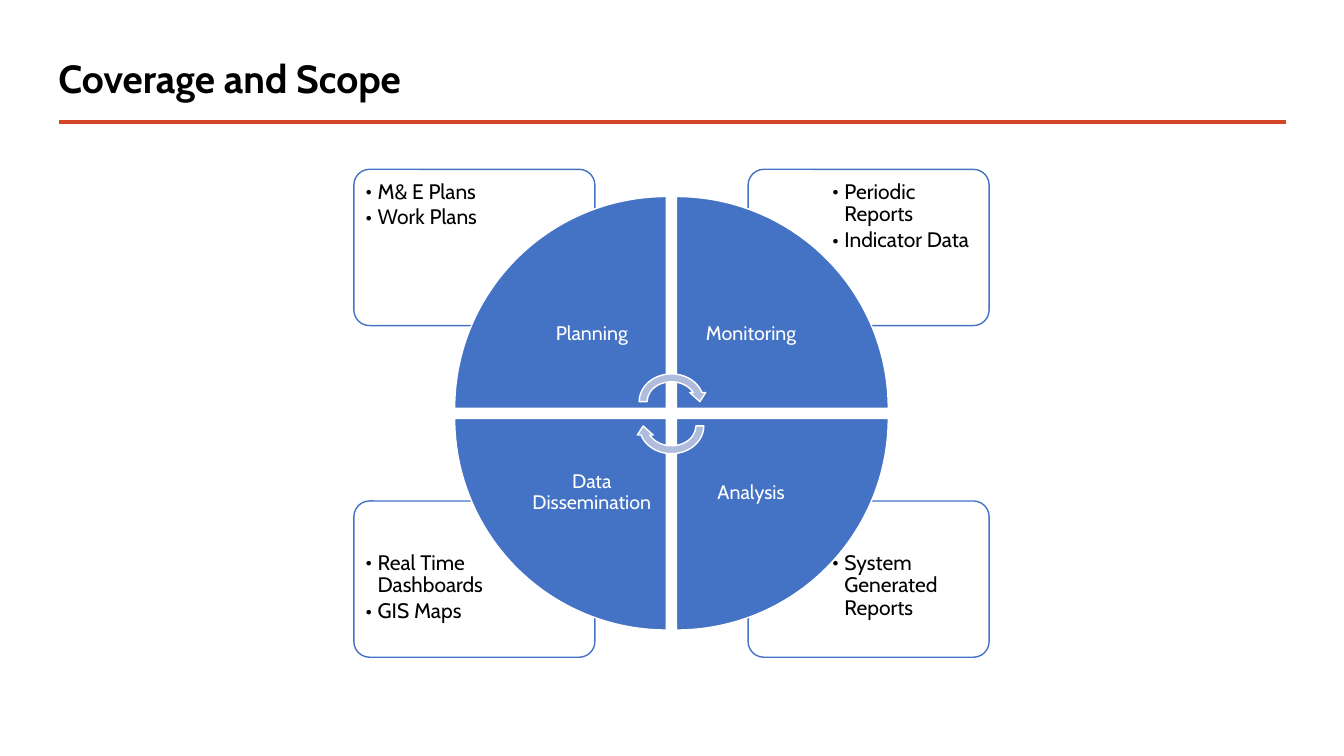
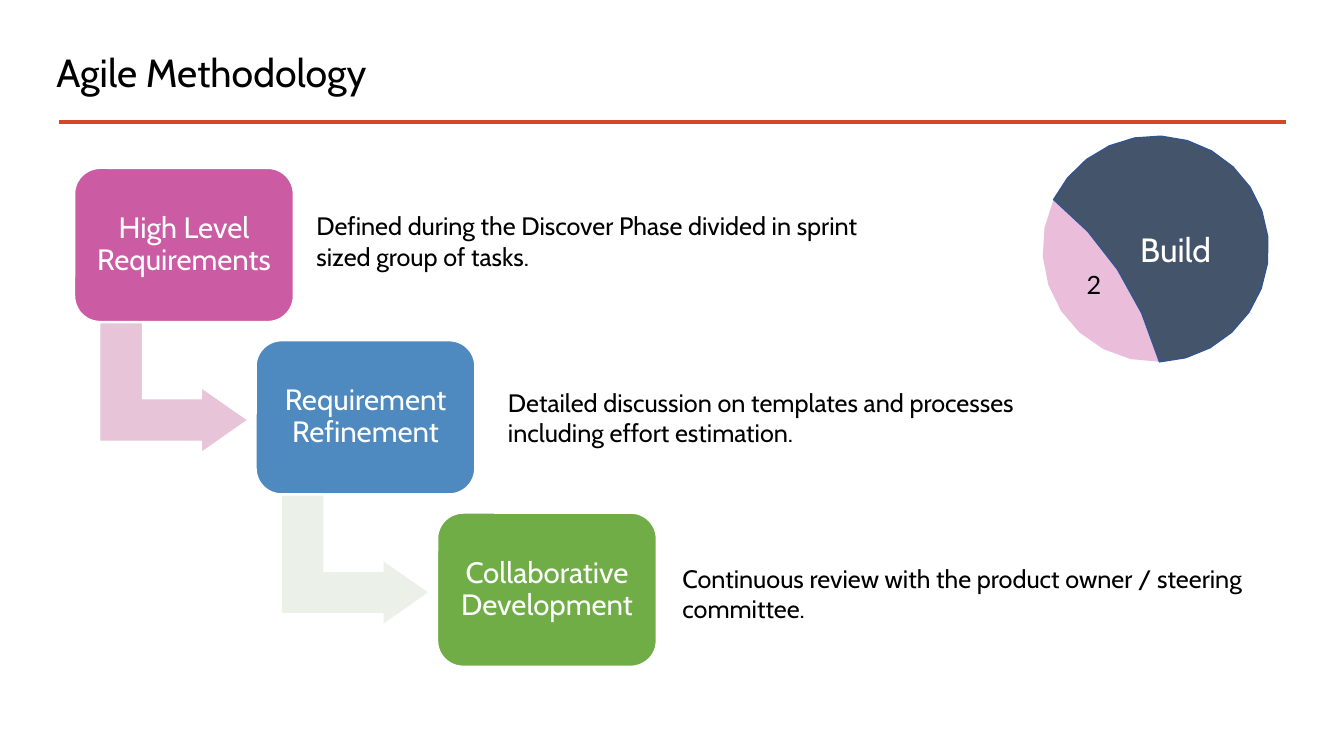
import dataclasses
import math

import lxml.etree
import pptx
import pptx.dml.color
import pptx.enum.shapes
import pptx.enum.text
import pptx.oxml.ns
import pptx.util

Inches = pptx.util.Inches
Pt = pptx.util.Pt
SHAPE = pptx.enum.shapes.MSO_SHAPE
ALIGN = pptx.enum.text.PP_ALIGN
ANCHOR = pptx.enum.text.MSO_ANCHOR


@dataclasses.dataclass(frozen=True)
class Theme:
    font: str = "Cabin"
    number_font: str = "Lato"
    black: str = "000000"
    white: str = "FFFFFF"
    rule: str = "D24726"
    blue: str = "4472C4"
    pale_blue: str = "B0BCDE"
    navy: str = "44546A"
    navy_edge: str = "325491"
    pink: str = "EABDDA"
    title_size: float = 28
    phase_size: float = 24
    step_size: float = 21
    note_size: float = 18
    card_size: float = 15
    wedge_size: float = 14


THEME = Theme()


def rgb(code):
    return pptx.dml.color.RGBColor.from_string(code)


def paint(shape, fill, edge=None):
    shape.shadow.inherit = False
    shape.fill.solid()
    shape.fill.fore_color.rgb = rgb(fill)
    if edge:
        shape.line.color.rgb = rgb(edge)
        shape.line.width = Pt(1)
    else:
        shape.line.fill.background()


def add_bullet(para):
    properties = para._p.get_or_add_pPr()
    properties.set("marL", str(Inches(0.12)))
    properties.set("indent", str(-Inches(0.12)))
    for tag, name, value in [("a:buFont", "typeface", THEME.font), ("a:buChar", "char", "•")]:
        lxml.etree.SubElement(properties, pptx.oxml.ns.qn(tag)).set(name, value)


def write(frame, lines, size, color=THEME.black, font=THEME.font, bold=False,
          align=ALIGN.LEFT, anchor=ANCHOR.TOP, spacing=0.9, after=0, bullets=False):
    frame.word_wrap = True
    frame.auto_size = pptx.enum.text.MSO_AUTO_SIZE.NONE
    frame.vertical_anchor = anchor
    for index, line in enumerate(lines):
        para = frame.add_paragraph() if index else frame.paragraphs[0]
        para.text = line
        para.alignment = align
        para.line_spacing = spacing
        para.space_after = Pt(after)
        if bullets:
            add_bullet(para)
        para.font.name = font
        para.font.size = Pt(size)
        para.font.bold = bold
        para.font.color.rgb = rgb(color)


def set_margins(frame, left, top, right, bottom):
    frame.margin_left, frame.margin_top = Inches(left), Inches(top)
    frame.margin_right, frame.margin_bottom = Inches(right), Inches(bottom)


def add_block(page, kind, box, fill, edge=THEME.white, rotation=0, adjustments=()):
    shape = page.shapes.add_shape(kind, *map(Inches, box))
    paint(shape, fill, edge)
    shape.rotation = rotation
    for index, value in enumerate(adjustments):
        shape.adjustments[index] = value
    return shape


def add_text(page, box, text, size, **style):
    label = page.shapes.add_textbox(*map(Inches, box))
    write(label.text_frame, [text], size, **style)
    return label


def add_titled_page(deck, title, box, bold):
    page = deck.slides.add_slide(deck.slide_layouts[5])
    rule = page.shapes.add_connector(
        pptx.enum.shapes.MSO_CONNECTOR.STRAIGHT,
        Inches(0.59), Inches(1.21), Inches(12.75), Inches(1.21))
    rule.line.color.rgb = rgb(THEME.rule)
    rule.line.width = Pt(2.25)
    lxml.etree.SubElement(rule.element.spPr, pptx.oxml.ns.qn("a:effectLst"))
    holder = page.shapes.title
    holder.left, holder.top, holder.width, holder.height = map(Inches, box)
    write(holder.text_frame, [title], THEME.title_size, bold=bold, anchor=ANCHOR.MIDDLE)
    return page


def beside(centre, side, gap, length):
    """Near edge of a span set before (-1) or after (1) the centre."""
    return centre + gap if side > 0 else centre - gap - length


def quadrant_box(side, level, gap_x, gap_y, width, height):
    centre_x, centre_y = 6.66, 4.1
    return (beside(centre_x, side, gap_x, width),
            beside(centre_y, level, gap_y, height), width, height)


def add_card(page, side, level, lines):
    card = add_block(page, SHAPE.ROUNDED_RECTANGLE,
                     quadrant_box(side, level, 0.76, 0.87, 2.39, 1.55),
                     THEME.white, THEME.blue, adjustments=[0.1])
    edge, wedge_side = 0.07, 0.79
    left, right = (wedge_side, edge) if side > 0 else (edge, wedge_side)
    set_margins(card.text_frame, left, 0.46 if level > 0 else edge, right, edge)
    write(card.text_frame, lines, THEME.card_size, after=2.25, bullets=True)


def add_wedge(page, side, level, rotation, name):
    add_block(page, SHAPE.PIE_WEDGE, quadrant_box(side, level, 0.05, 0.05, 2.1, 2.1),
              THEME.blue, rotation=rotation)
    label = add_text(page, quadrant_box(side, level, 0.05, 0.05, 1.48, 1.48), name,
                     THEME.wedge_size, color=THEME.white, align=ALIGN.CENTER,
                     anchor=ANCHOR.MIDDLE)
    set_margins(label.text_frame, 0.11, 0.11, 0.11, 0.11)


def build_coverage(deck):
    page = add_titled_page(deck, "Coverage and Scope", (0.48, 0.45, 10, 0.7), bold=True)
    quadrants = [
        (-1, -1, "Planning", ["M& E Plans", "Work Plans"]),
        (1, -1, "Monitoring", ["Periodic Reports", "Indicator Data"]),
        (1, 1, "Analysis", ["System Generated Reports"]),
        (-1, 1, "Data Dissemination", ["Real Time Dashboards", "GIS Maps"]),
    ]
    for side, level, _, lines in quadrants:
        add_card(page, side, level, lines)
    for index, (side, level, name, _) in enumerate(quadrants):
        add_wedge(page, side, level, 90 * index, name)
    for top, rotation in [(3.67, 0), (3.91, 180)]:
        add_block(page, SHAPE.CIRCULAR_ARROW, (6.3, top, 0.72, 0.63),
                  THEME.pale_blue, rotation=rotation)


def arc_points(centre, radius, start, end, count):
    angles = [math.radians(start + (end - start) * i / count) for i in range(count + 1)]
    return [(centre[0] + radius * math.cos(a), centre[1] + radius * math.sin(a))
            for a in angles]


def bezier_points(corners, count):
    points = []
    for t in (i / count for i in range(count + 1)):
        weights = [math.comb(3, k) * (1 - t) ** (3 - k) * t ** k for k in range(4)]
        points.append(tuple(sum(w * corner[axis] for w, corner in zip(weights, corners))
                            for axis in (0, 1)))
    return points


def add_outline(page, points, fill, edge=None):
    first, *rest = [(Inches(x), Inches(y)) for x, y in points]
    builder = page.shapes.build_freeform(*first)
    builder.add_line_segments(rest, close=True)
    paint(builder.convert_to_shape(), fill, edge)


def add_phase_badge(page):
    centre, radius = (11.46, 2.47), 1.12
    bottom, upper_left = 88, 205.5
    divide = bezier_points([(10.45, 1.98), (10.93, 2.36), (11.31, 2.91), (11.5, 3.59)], 4)
    light_arc = arc_points(centre, radius, bottom, upper_left, 8)
    dark_arc = arc_points(centre, radius, upper_left, bottom + 360, 18)
    add_outline(page, divide + light_arc[1:-1], THEME.pink)
    add_outline(page, divide[::-1] + dark_arc[1:-1], THEME.navy, THEME.navy_edge)
    add_text(page, (10.68, 2.62, 0.32, 0.4), "2", THEME.note_size,
             font=THEME.number_font, spacing=1)
    add_text(page, (11.21, 2.22, 1.6, 0.5), "Build", THEME.phase_size,
             color=THEME.white, spacing=1)


def add_step(page, left, top, name, fill, arrow_fill):
    if arrow_fill:
        add_block(page, SHAPE.BENT_UP_ARROW, (left + 0.34, top + 1.44, 1.29, 1.47),
                  arrow_fill, rotation=90, adjustments=[0.328, 0.25, 0.358])
    step = add_block(page, SHAPE.ROUNDED_RECTANGLE, (left, top, 2.17, 1.52), fill,
                     adjustments=[0.167])
    set_margins(step.text_frame, 0.09, 0.09, 0.09, 0.09)
    write(step.text_frame, [name], THEME.step_size, color=THEME.white,
          align=ALIGN.CENTER, anchor=ANCHOR.MIDDLE)


def build_methodology(deck):
    page = add_titled_page(deck, "Agile Methodology", (0.46, 0.39, 9.57, 0.7), bold=False)
    add_phase_badge(page)
    steps = [
        ("High Level Requirements", "CB5BA3", "E7C4D7", 3.04,
         "Defined during the Discover Phase divided in sprint sized group of tasks."),
        ("Requirement Refinement", "4E89BF", "EBF1E9", 4.94,
         "Detailed discussion on templates and processes including effort estimation."),
        ("Collaborative Development", "70AD47", None, 6.67,
         "Continuous review with the product owner / steering committee."),
    ]
    for index, (name, fill, arrow_fill, note_left, note) in enumerate(steps):
        add_step(page, 0.74 + 1.8 * index, 1.67 + 1.71 * index, name, fill, arrow_fill)
        add_text(page, (note_left, 2.04 + 1.75 * index, 6.07, 0.71), note,
                 THEME.note_size, spacing=1)


def main():
    deck = pptx.Presentation()
    deck.slide_width, deck.slide_height = Inches(13.33), Inches(7.5)
    build_coverage(deck)
    build_methodology(deck)
    deck.save("out.pptx")


if __name__ == "__main__":
    main()
